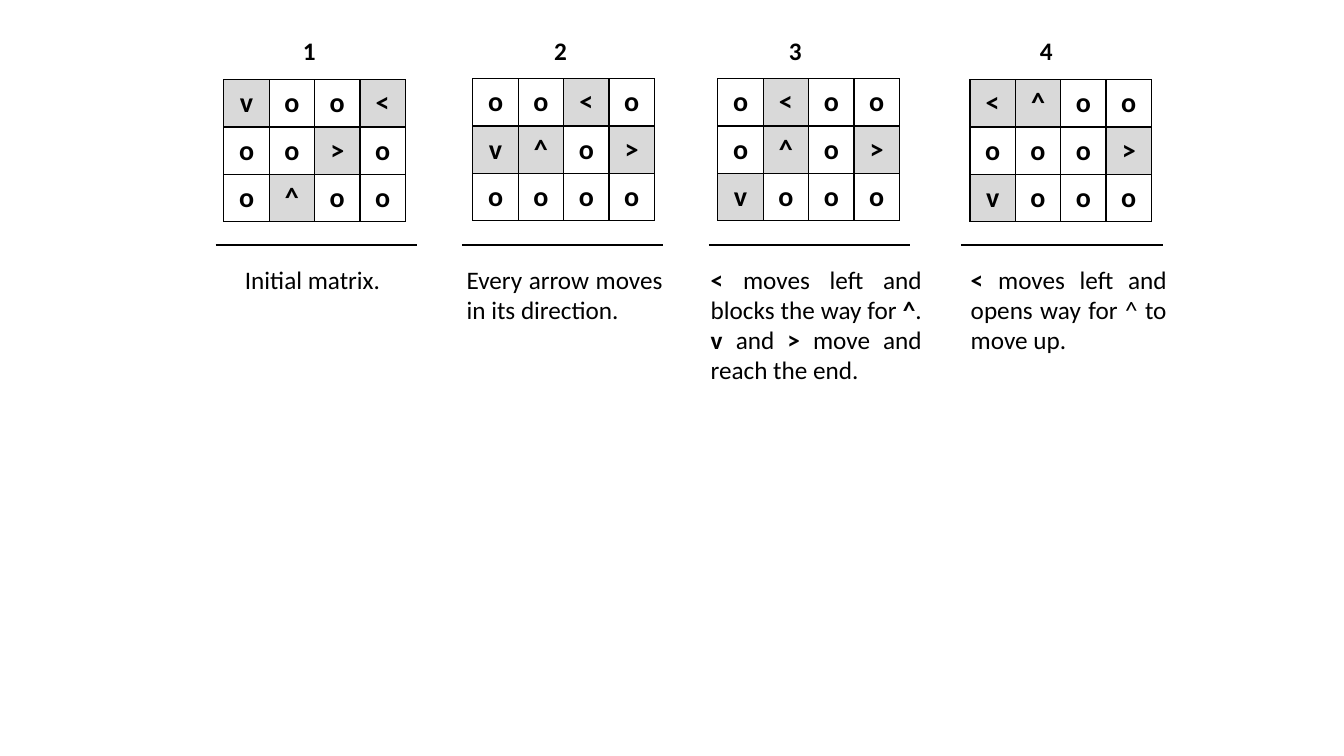
"""Build a slide showing four steps of arrows moving through a matrix."""
from dataclasses import dataclass

from lxml.etree import SubElement
from pptx import Presentation
from pptx.dml.color import RGBColor
from pptx.enum.shapes import MSO_CONNECTOR as Connector
from pptx.enum.text import MSO_ANCHOR as Anchor, PP_ALIGN as Align
from pptx.oxml import parse_xml
from pptx.oxml.ns import nsdecls, qn
from pptx.util import Inches, Pt


@dataclass(frozen=True)
class Theme:
    font: str = "Calibri"
    ink: str = "000000"
    arrow_fill: str = "D9D9D9"
    plain_fill: str = "FFFFFF"
    text_size: int = 18
    cell_size: int = 20
    border: float = 1
    rule: float = 1.5


theme = Theme()

STEPS = [
    {"matrix": ["voo<", "oo>o", "o^oo"], "matrix_at": (2.22, 0.79), "rule_left": 2.14,
     "number_center": 3.07, "caption_box": (2.03, 2.14, 0.71), "align": Align.CENTER,
     "caption": [[("Initial matrix.", False)]]},
    {"matrix": ["oo<o", "v^o>", "oooo"], "matrix_at": (4.69, 0.78), "rule_left": 4.58,
     "number_center": 5.56, "caption_box": (4.53, 2.14, 0.71), "align": Align.JUSTIFY,
     "caption": [[("Every arrow moves in its direction.", False)]]},
    {"matrix": ["o<oo", "o^o>", "vooo"], "matrix_at": (7.12, 0.78), "rule_left": 7.03,
     "number_center": 7.89, "caption_box": (6.95, 2.29, 1.31), "align": Align.JUSTIFY,
     "caption": [[("< ", True), ("moves left and blocks the way for ", False),
                  ("^", True), (". ", False)],
                 [("v ", True), ("and ", False), ("> ", True),
                  ("move and reach the end.", False)]]},
    {"matrix": ["<^oo", "ooo>", "vooo"], "matrix_at": (9.62, 0.79), "rule_left": 9.53,
     "number_center": 10.38, "caption_box": (9.53, 2.14, 1.01), "align": Align.JUSTIFY,
     "caption": [[("< ", True), ("moves left and opens way for ^ to move up.", False)]]},
]
COLUMN_WIDTH, ROW_HEIGHT = 0.45, 0.47
RULE_TOP, RULE_WIDTH, CAPTION_TOP = 2.43, 2, 2.57
NUMBERS_LEFT, NUMBERS_TOP, NUMBERS_WIDTH, NUMBERS_HEIGHT = 2.17, 0.3, 9.4, 0.4
TEXT_INSET = 0.1


def add_span(para, text, bold, size=theme.text_size):
    span = para.add_run()
    span.text = text
    for name, value in {"name": theme.font, "size": Pt(size), "bold": bold}.items():
        setattr(span.font, name, value)
    span.font.color.rgb = RGBColor.from_string(theme.ink)


def add_text(page, left, top, width, height, paragraphs, align):
    box = page.shapes.add_textbox(*map(Inches, (left, top, width, height)))
    frame = box.text_frame
    frame.word_wrap = True
    for index, spans in enumerate(paragraphs):
        para = frame.add_paragraph() if index else frame.paragraphs[0]
        para.alignment = align
        for text, bold in spans:
            add_span(para, text, bold)
    return frame


def add_borders(cell):
    properties = cell._tc.get_or_add_tcPr()
    for side in ("lnL", "lnR", "lnT", "lnB"):
        properties.append(parse_xml(
            f'<a:{side} {nsdecls("a")} w="{Pt(theme.border)}"><a:solidFill>'
            f'<a:srgbClr val="{theme.ink}"/></a:solidFill></a:{side}>'))


def add_matrix(page, rows, left, top):
    row_count, column_count = len(rows), len(rows[0])
    table = page.shapes.add_table(
        row_count, column_count, Inches(left), Inches(top),
        Inches(column_count * COLUMN_WIDTH), Inches(row_count * ROW_HEIGHT)).table
    table.first_row = table.horz_banding = False
    for column in table.columns:
        column.width = Inches(COLUMN_WIDTH)
    for row, symbols in zip(table.rows, rows):
        row.height = Inches(ROW_HEIGHT)
        for cell, symbol in zip(row.cells, symbols):
            add_borders(cell)
            cell.fill.solid()
            cell.fill.fore_color.rgb = RGBColor.from_string(
                theme.plain_fill if symbol == "o" else theme.arrow_fill)
            cell.vertical_anchor = Anchor.MIDDLE
            para = cell.text_frame.paragraphs[0]
            para.alignment = Align.CENTER
            add_span(para, symbol, True, theme.cell_size)


def add_rule(page, left):
    rule = page.shapes.add_connector(
        Connector.STRAIGHT, *map(Inches, (left, RULE_TOP, left + RULE_WIDTH, RULE_TOP)))
    rule.line.width = Pt(theme.rule)
    rule.line.color.rgb = RGBColor.from_string(theme.ink)
    SubElement(rule._element.spPr, qn("a:effectLst"))


def add_numbers(page):
    numbers = "".join(f"\t{number}" for number in range(1, len(STEPS) + 1))
    frame = add_text(page, NUMBERS_LEFT, NUMBERS_TOP, NUMBERS_WIDTH, NUMBERS_HEIGHT,
                     [[(numbers, True)]], Align.LEFT)
    tabs = SubElement(frame.paragraphs[0]._p.get_or_add_pPr(), qn("a:tabLst"))
    for step in STEPS:
        position = Inches(step["number_center"] - NUMBERS_LEFT - TEXT_INSET)
        SubElement(tabs, qn("a:tab"), pos=str(position), algn="ctr")


deck = Presentation()
deck.slide_width, deck.slide_height = Inches(13.33), Inches(7.5)
page = deck.slides.add_slide(deck.slide_layouts[6])
add_numbers(page)
for step in STEPS:
    add_matrix(page, step["matrix"], *step["matrix_at"])
    add_rule(page, step["rule_left"])
    left, width, height = step["caption_box"]
    add_text(page, left, CAPTION_TOP, width, height, step["caption"], step["align"])
deck.save("out.pptx")
